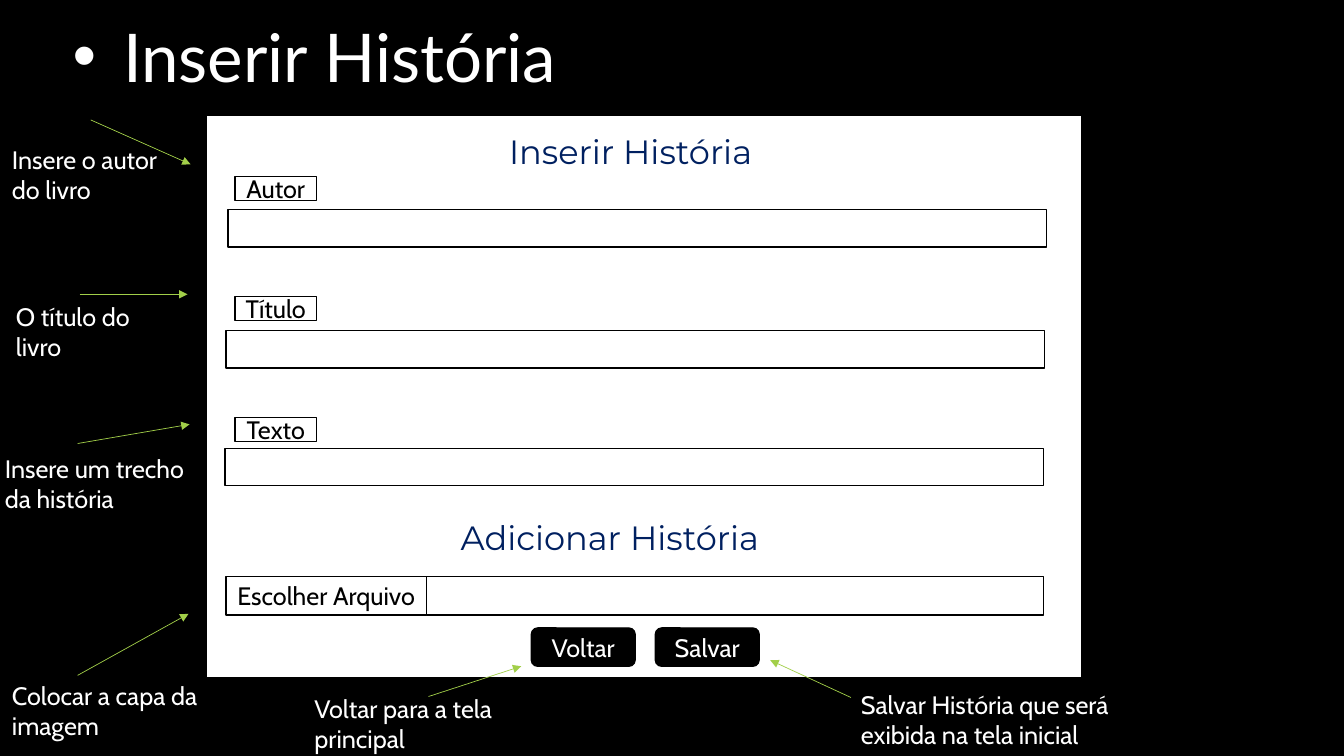
from lxml.etree import SubElement
from pptx import Presentation
from pptx.dml.color import RGBColor
from pptx.enum.shapes import MSO_CONNECTOR, MSO_SHAPE
from pptx.enum.text import MSO_ANCHOR, MSO_AUTO_SIZE, PP_ALIGN
from pptx.oxml.ns import qn
from pptx.util import Inches, Pt

COLORS = {"black": "000000", "white": "FFFFFF", "navy": "002060", "green": "A2CF49"}
HEADING = {"name": "Lato", "size": Pt(48), "color": "white", "bold": False}
SECTION = {"name": "Montserrat", "size": Pt(24), "color": "navy"}
LABEL = {"name": "Cabin", "size": Pt(18), "color": "black"}
NOTE = {**LABEL, "color": "white"}


def rgb(color):
    """Return the named colour."""
    return RGBColor.from_string(COLORS[color])


def write(frame, words, style, align=PP_ALIGN.LEFT, anchor=MSO_ANCHOR.TOP):
    """Put one formatted paragraph into a text frame."""
    settings = {"word_wrap": True, "auto_size": MSO_AUTO_SIZE.NONE, "vertical_anchor": anchor}
    for name, value in settings.items():
        setattr(frame, name, value)
    paragraph = frame.paragraphs[0]
    paragraph.alignment = align
    run = paragraph.add_run()
    run.text = words
    for name, value in style.items():
        if name == "color":
            run.font.color.rgb = rgb(value)
        else:
            setattr(run.font, name, value)
    return paragraph


def add_text(slide, box, words, style):
    """Add a text box."""
    write(slide.shapes.add_textbox(*map(Inches, box)).text_frame, words, style)


def add_panel(slide, box, words="", style=LABEL, fill="white", kind=MSO_SHAPE.RECTANGLE):
    """Add an outlined box with an optional centred caption."""
    panel = slide.shapes.add_shape(kind, *map(Inches, box))
    panel.shadow.inherit = False
    panel.fill.solid()
    panel.fill.fore_color.rgb = rgb(fill)
    panel.line.color.rgb = rgb("black")
    panel.line.width = Pt(1)
    if words:
        write(panel.text_frame, words, style, PP_ALIGN.CENTER, MSO_ANCHOR.MIDDLE)


def add_heading(slide, box):
    """Place the bulleted slide title."""
    title = slide.shapes.title
    for name, value in zip(("left", "top", "width", "height"), box):
        setattr(title, name, Inches(value))
    paragraph = write(title.text_frame, "Inserir História", HEADING)
    properties = paragraph._p.get_or_add_pPr()
    properties.set("marL", str(Inches(0.5)))
    properties.set("indent", str(-Inches(0.5)))
    SubElement(properties, qn("a:buFont")).set("typeface", "Arial")
    SubElement(properties, qn("a:buChar")).set("char", "•")


def add_form(slide, box):
    """Draw the form mock-up with its fields and buttons."""
    left, top, _, _ = box
    add_panel(slide, box)
    add_text(slide, (left + 2.9, top + 0.11, 3.49, 0.5), "Inserir História", SECTION)
    add_text(slide, (left + 2.42, top + 3.94, 3.65, 0.5), "Adicionar História", SECTION)
    fields = [("Autor", 0.61, 0.21, 0.94), ("Título", 1.8, 0.19, 2.14), ("Texto", 3, 0.18, 3.31)]
    for caption, label_top, field_left, field_top in fields:
        add_panel(slide, (left + 0.28, top + label_top, 0.81, 0.24), caption)
        add_panel(slide, (left + field_left, top + field_top, 8.12, 0.37))
    add_panel(slide, (left + 0.19, top + 4.58, 1.99, 0.38), "Escolher Arquivo")
    add_panel(slide, (left + 2.18, top + 4.58, 6.12, 0.38))
    for index, caption in enumerate(("Voltar", "Salvar")):
        button = (left + 3.22 + 1.23 * index, top + 5.09, 1.03, 0.38)
        add_panel(slide, button, caption, NOTE, "black", MSO_SHAPE.ROUNDED_RECTANGLE)


def add_note(slide, box, words, start, end):
    """Add a note and its arrow, whose ends are offsets from the note's corner."""
    left, top, _, _ = box
    add_text(slide, box, words, NOTE)
    points = [Inches(base + shift) for point in (start, end) for base, shift in zip((left, top), point)]
    arrow = slide.shapes.add_connector(MSO_CONNECTOR.STRAIGHT, *points)
    arrow.line.color.rgb = rgb("green")
    arrow.line.width = Pt(0.5)
    SubElement(arrow.line._get_or_add_ln(), qn("a:tailEnd")).set("type", "triangle")
    SubElement(arrow._element.spPr, qn("a:effectLst"))


def main():
    """Build and save the slide."""
    deck = Presentation()
    deck.slide_width, deck.slide_height = Inches(13.33), Inches(7.5)
    slide = deck.slides.add_slide(deck.slide_layouts[5])
    slide.background.fill.solid()
    slide.background.fill.fore_color.rgb = rgb("black")
    add_heading(slide, (0.62, 0.1, 6.67, 0.91))
    add_form(slide, (2.05, 1.14, 8.68, 5.58))
    notes = [
        (0.02, 1.38, 1.88, "Insere o autor do livro", (0.88, -0.19), (1.87, 0.25)),
        (0.06, 2.94, 1.62, "O título do livro", (0.73, -0.02), (1.8, -0.02)),
        (-0.05, 4.45, 2, "Insere um trecho da história", (0.82, -0.05), (1.93, -0.24)),
        (0.02, 6.7, 2.25, "Colocar a capa da imagem", (0.75, 0), (1.85, -0.61)),
        (3.02, 6.83, 2.15, "Voltar para a tela principal", (1.23, 0.08), (2.15, -0.22)),
        (8.44, 6.79, 2.93, "Salvar História que será exibida na tela inicial", (0, 0.13), (-0.8, -0.24)),
    ]
    for left, top, width, words, start, end in notes:
        add_note(slide, (left, top, width, 0.71), words, start, end)
    deck.save("out.pptx")


if __name__ == "__main__":
    main()
